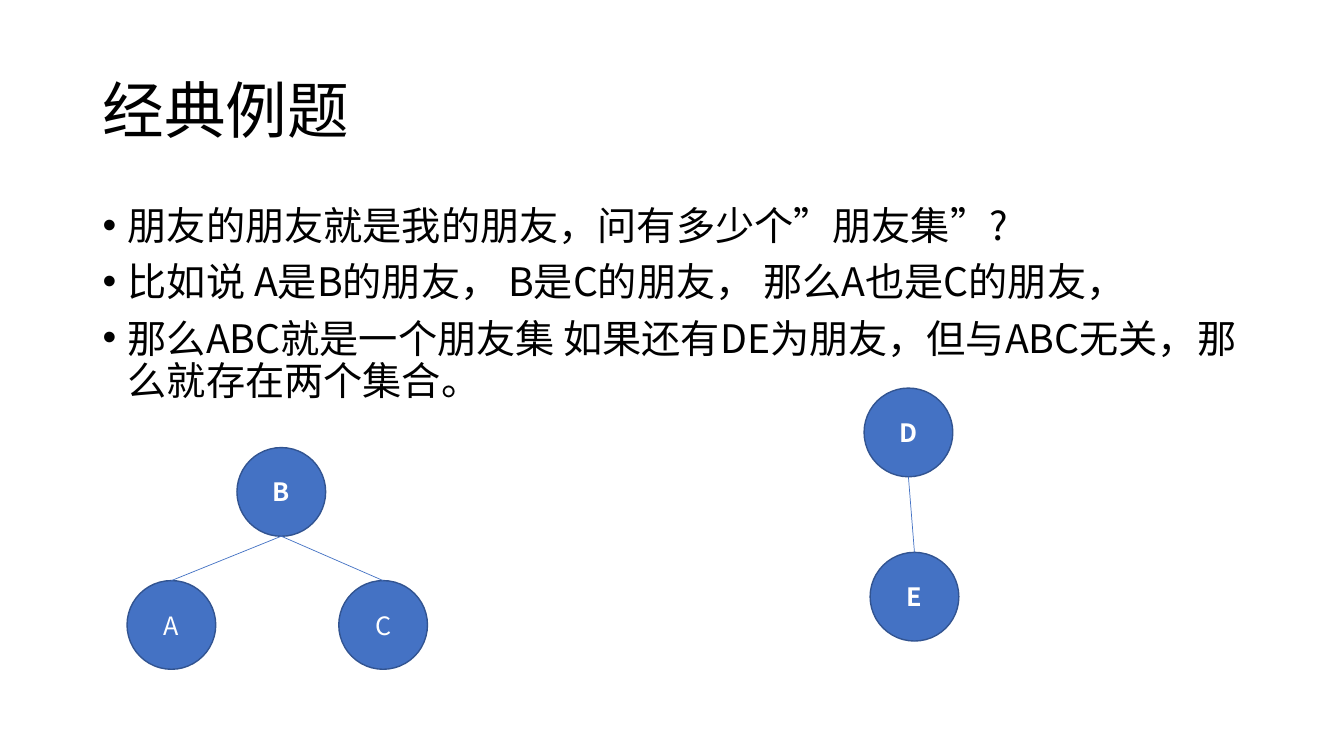
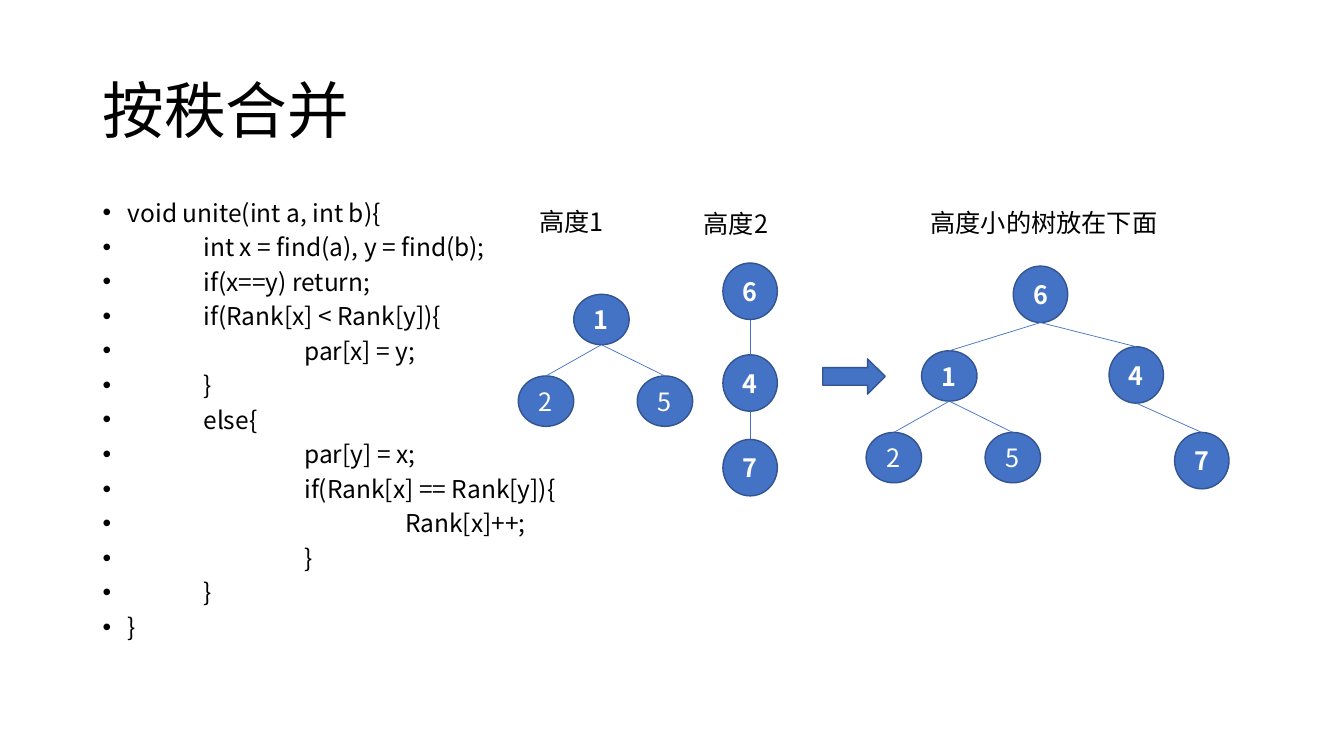
"""Build two slides about the union-find structure: friend sets and union by rank."""
from dataclasses import dataclass

from lxml.etree import SubElement
from pptx import Presentation
from pptx.dml.color import RGBColor
from pptx.enum.shapes import MSO_CONNECTOR, MSO_SHAPE as Preset
from pptx.enum.text import MSO_ANCHOR as Anchor, PP_ALIGN as Align
from pptx.oxml.ns import qn
from pptx.shapes.autoshape import Shape
from pptx.slide import Slide
from pptx.util import Inches, Pt

BLACK = RGBColor(0x00, 0x00, 0x00)
WHITE = RGBColor(0xFF, 0xFF, 0xFF)
BLUE = RGBColor(0x44, 0x72, 0xC4)
NAVY = RGBColor(0x32, 0x54, 0x91)
FONT = "Noto Sans CJK SC"
MARGIN, CONTENT_WIDTH = 0.92, 11.5
ROUND, OVAL, TALL = (0.88, 0.88), (0.55, 0.5), (0.54, 0.56)

FRIENDS = [
    "朋友的朋友就是我的朋友，问有多少个”朋友集”?",
    "比如说 A是B的朋友， B是C的朋友， 那么A也是C的朋友，",
    "那么ABC就是一个朋友集 如果还有DE为朋友，但与ABC无关，那么就存在两个集合。",
]
UNITE_CODE = [
    "void unite(int a, int b){",
    "\tint x = find(a), y = find(b);",
    "\tif(x==y) return;",
    "\tif(Rank[x] < Rank[y]){",
    "\t\tpar[x] = y;",
    "\t}",
    "\telse{",
    "\t\tpar[y] = x;",
    "\t\tif(Rank[x] == Rank[y]){",
    "\t\t\tRank[x]++;",
    "\t\t}",
    "\t}",
    "}",
]


@dataclass(frozen=True)
class Node:
    """A labelled tree node, measured in inches."""

    label: str
    left: float
    top: float
    size: tuple[float, float]
    bold: bool = True

    @property
    def center(self) -> float:
        return self.left + self.size[0] / 2

    @property
    def bottom(self) -> float:
        return self.top + self.size[1]


@dataclass(frozen=True)
class Label:
    """A caption above a tree."""

    text: str
    left: float
    top: float
    width: float


def small_tree(left: float, top: float) -> list[Node]:
    """Return root 1 and its children 2 and 5."""
    return [
        Node("1", left + 0.55, top, OVAL),
        Node("2", left, top + 0.81, OVAL, bold=False),
        Node("5", left + 1.18, top + 0.81, OVAL, bold=False),
    ]


def style_text(box: Shape, size: float, color: RGBColor, bold: bool = False) -> None:
    """Give every run of a shape the same font."""
    for para in box.text_frame.paragraphs:
        for span in para.runs:
            span.font.name, span.font.size = FONT, Pt(size)
            span.font.bold, span.font.color.rgb = bold, color
            SubElement(span.font._element, qn("a:ea")).set("typeface", FONT)


def add_text(page: Slide, lines: list[str], left: float, top: float, width: float,
             height: float, size: float, anchor: Anchor = Anchor.MIDDLE) -> Shape:
    """Add a wrapping text box with one paragraph per line."""
    box = page.shapes.add_textbox(Inches(left), Inches(top), Inches(width), Inches(height))
    frame = box.text_frame
    frame.word_wrap, frame.vertical_anchor = True, anchor
    for index, line in enumerate(lines):
        para = frame.add_paragraph() if index else frame.paragraphs[0]
        para.text = line
    style_text(box, size, BLACK)
    return box


def add_page(deck: Presentation, title: str, lines: list[str], size: float, pitch: float) -> Slide:
    """Add a slide with its title and bulleted body."""
    page = deck.slides.add_slide(deck.slide_layouts[6])
    heading = add_text(page, [title], MARGIN, 0.4, CONTENT_WIDTH, 1.45, 44)
    heading.text_frame.paragraphs[0].line_spacing = 0.9
    body = add_text(page, lines, MARGIN, 2, CONTENT_WIDTH, 4.76, size, Anchor.TOP)
    for index, para in enumerate(body.text_frame.paragraphs):
        para.line_spacing = Pt(pitch)
        para.space_before = Pt(10 if index else 0)
        props = para._p.get_or_add_pPr()
        props.set("marL", str(Inches(0.25)))
        props.set("indent", str(Inches(-0.25)))
        props.set("defTabSz", str(Inches(1)))
        SubElement(props, qn("a:buFont")).set("typeface", "Arial")
        SubElement(props, qn("a:buChar")).set("char", "•")
        tabs = SubElement(props, qn("a:tabLst"))
        for stop in (1, 2, 3):
            tab = SubElement(tabs, qn("a:tab"))
            tab.set("pos", str(Inches(stop)))
            tab.set("algn", "l")
    return page


def add_blue_shape(page: Slide, preset: Preset, left: float, top: float,
                   width: float, height: float) -> Shape:
    """Add a blue preset shape with a navy outline."""
    shape = page.shapes.add_shape(preset, Inches(left), Inches(top), Inches(width), Inches(height))
    shape.shadow.inherit = False
    shape.fill.solid()
    shape.fill.fore_color.rgb = BLUE
    shape.line.color.rgb, shape.line.width = NAVY, Pt(1)
    return shape


def add_tree(page: Slide, nodes: list[Node], edges: list[tuple[int, int]]) -> None:
    """Draw nodes and the lines from each parent to its child."""
    for node in nodes:
        circle = add_blue_shape(page, Preset.OVAL, node.left, node.top, *node.size)
        frame = circle.text_frame
        frame.text, frame.vertical_anchor = node.label, Anchor.MIDDLE
        frame.margin_left = frame.margin_right = 0
        frame.paragraphs[0].alignment = Align.CENTER
        style_text(circle, 18, WHITE, node.bold)
    for start, end in edges:
        parent, child = nodes[start], nodes[end]
        line = page.shapes.add_connector(
            MSO_CONNECTOR.STRAIGHT, Inches(parent.center), Inches(parent.bottom),
            Inches(child.center), Inches(child.top))
        line.line.color.rgb, line.line.width = BLUE, Pt(0.5)
        SubElement(line._element.spPr, qn("a:effectLst"))


def build_friends(deck: Presentation) -> None:
    """Build the slide with the two friend sets."""
    page = add_page(deck, "经典例题", FRIENDS, 28, 30.1)
    friends = [
        Node("B", 2.35, 4.44, ROUND),
        Node("A", 1.26, 5.76, ROUND, bold=False),
        Node("C", 3.36, 5.76, ROUND, bold=False),
    ]
    add_tree(page, friends, [(0, 1), (0, 2)])
    add_tree(page, [Node("D", 8.57, 3.85, ROUND), Node("E", 8.63, 5.48, ROUND)], [(0, 1)])


def build_union(deck: Presentation) -> None:
    """Build the slide that merges two trees by rank."""
    page = add_page(deck, "按秩合并", UNITE_CODE, 17.5, 14.65)
    add_tree(page, small_tree(5.14, 2.92), [(0, 1), (0, 2)])
    chain = [Node(label, 7.17, top, TALL) for label, top in (("6", 2.61), ("4", 3.52), ("7", 4.36))]
    add_tree(page, chain, [(0, 1), (1, 2)])
    merged = [
        Node("6", 10.05, 2.64, TALL),
        Node("4", 11, 3.44, TALL),
        Node("7", 11.65, 4.29, TALL),
        *small_tree(8.59, 3.48),
    ]
    add_tree(page, merged, [(0, 1), (1, 2), (0, 3), (3, 4), (3, 5)])
    add_blue_shape(page, Preset.RIGHT_ARROW, 8.16, 3.56, 0.62, 0.35)
    labels = [
        Label("高度1", 5.25, 2, 1.18),
        Label("高度2", 6.88, 2.02, 1.18),
        Label("高度小的树放在下面", 9.13, 2.01, 2.62),
    ]
    for label in labels:
        add_text(page, [label.text], label.left, label.top, label.width, 0.4, 18)


def main() -> None:
    """Create and save the deck."""
    deck = Presentation()
    deck.slide_width, deck.slide_height = Inches(13.33), Inches(7.5)
    build_friends(deck)
    build_union(deck)
    deck.save("out.pptx")


if __name__ == "__main__":
    main()
